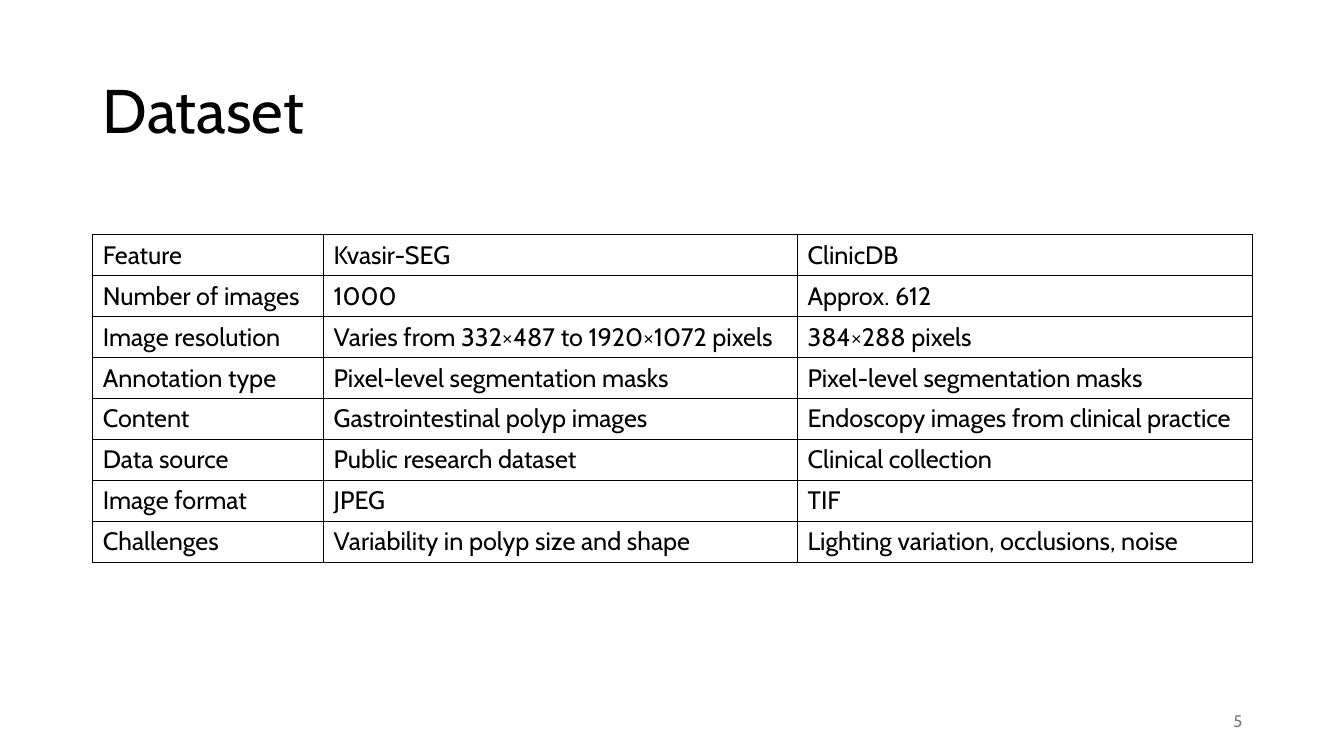
from lxml import etree
from pptx import Presentation
from pptx import util as u
from pptx.dml.color import RGBColor
from pptx.enum import text
from pptx.oxml import ns

FONT = "Cabin"
BLACK = RGBColor(0x00, 0x00, 0x00)
GREY = RGBColor(0x79, 0x79, 0x79)

COLUMN_WIDTHS = (2.29, 4.7, 4.51)
TABLE_HEIGHT = 3.25
DATASET_ROWS = (
    ("Feature", "Kvasir-SEG", "ClinicDB"),
    ("Number of images", "1000", "Approx. 612"),
    ("Image resolution", "Varies from 332×487 to 1920×1072 pixels", "384×288 pixels"),
    ("Annotation type", "Pixel-level segmentation masks", "Pixel-level segmentation masks"),
    ("Content", "Gastrointestinal polyp images", "Endoscopy images from clinical practice"),
    ("Data source", "Public research dataset", "Clinical collection"),
    ("Image format", "JPEG", "TIF"),
    ("Challenges", "Variability in polyp size and shape", "Lighting variation, occlusions, noise"),
)


def style_text(frame, size, color):
    for para in frame.paragraphs:
        for span in para.runs:
            span.font.name = FONT
            span.font.size = u.Pt(size)
            span.font.color.rgb = color


def add_label(page, words, left, top, width, height, size, color):
    """Add a one-paragraph text box, centred vertically, and return its paragraph."""
    box = page.shapes.add_textbox(*map(u.Inches, (left, top, width, height)))
    frame = box.text_frame
    frame.word_wrap = True
    frame.vertical_anchor = text.MSO_ANCHOR.MIDDLE
    frame.text = words
    style_text(frame, size, color)
    return frame.paragraphs[0]


def add_borders(cell, color, width):
    properties = cell._tc.get_or_add_tcPr()
    for index, side in enumerate(("lnL", "lnR", "lnT", "lnB")):
        line = etree.Element(ns.qn(f"a:{side}"), w=str(u.Pt(width)))
        fill = etree.SubElement(line, ns.qn("a:solidFill"))
        etree.SubElement(fill, ns.qn("a:srgbClr"), val=str(color))
        properties.insert(index, line)


def add_dataset_table(page, left, top):
    frame = page.shapes.add_table(
        len(DATASET_ROWS), len(COLUMN_WIDTHS), u.Inches(left), u.Inches(top),
        u.Inches(sum(COLUMN_WIDTHS)), u.Inches(TABLE_HEIGHT))
    table = frame.table
    table.first_row = table.horz_banding = False
    for column, width in zip(table.columns, COLUMN_WIDTHS):
        column.width = u.Inches(width)
    for row, entries in zip(table.rows, DATASET_ROWS):
        for cell, words in zip(row.cells, entries):
            cell.text = words
            cell.vertical_anchor = text.MSO_ANCHOR.MIDDLE
            cell.fill.background()
            style_text(cell.text_frame, 18, BLACK)
            add_borders(cell, BLACK, 1)


def main():
    deck = Presentation()
    deck.slide_width = u.Inches(13.33)
    deck.slide_height = u.Inches(7.5)
    page = deck.slides.add_slide(deck.slide_layouts[6])

    title = add_label(page, "Dataset", 0.92, 0.4, 11.5, 1.45, 44, BLACK)
    title.line_spacing = 0.9
    add_dataset_table(page, 0.92, 2.33)
    number = add_label(page, "5", 9.42, 6.95, 3, 0.4, 12, GREY)
    number.alignment = text.PP_ALIGN.RIGHT

    deck.save("out.pptx")


if __name__ == "__main__":
    main()
